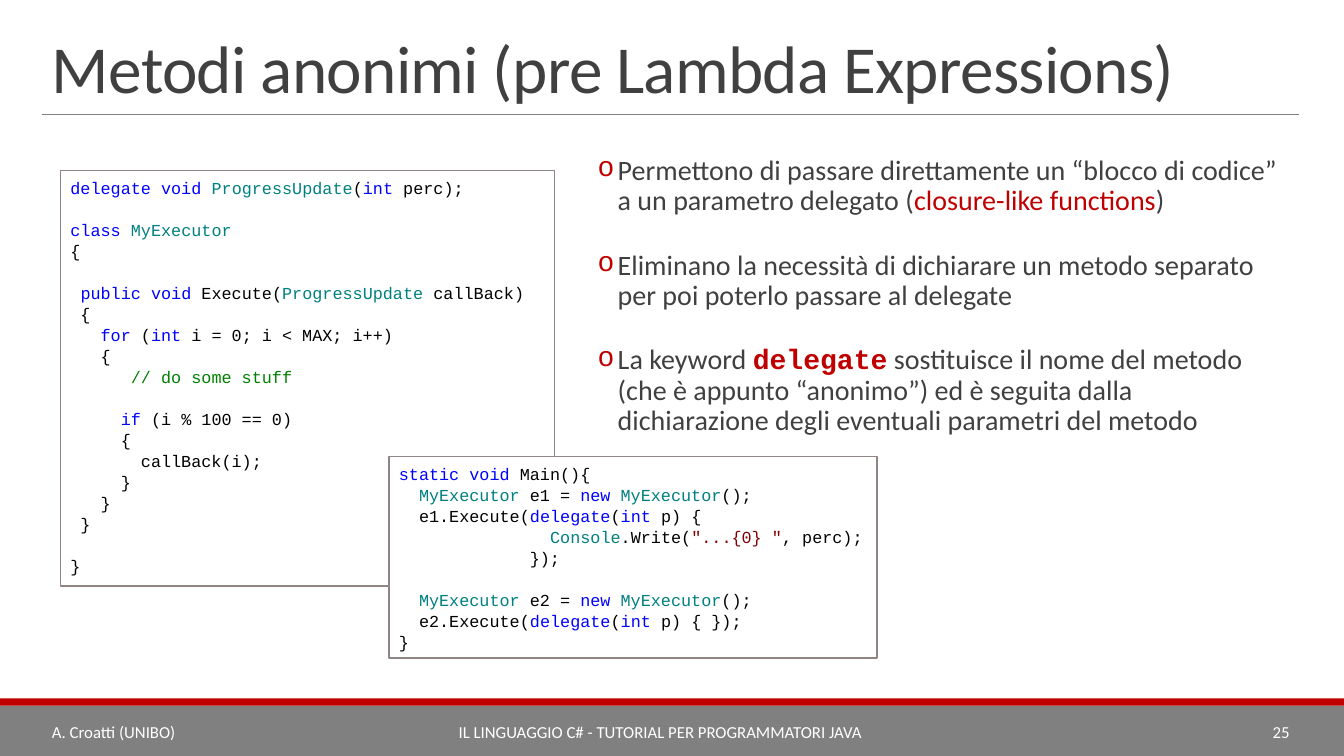
from lxml.etree import SubElement
from pptx import Presentation
from pptx.dml.color import RGBColor
from pptx.enum.shapes import MSO_CONNECTOR, MSO_SHAPE
from pptx.enum.text import MSO_ANCHOR, PP_ALIGN
from pptx.oxml.ns import qn
from pptx.util import Inches, Pt

COLORS = {
    "white": "FFFFFF", "black": "000000", "text": "404040", "gray": "808080",
    "accent": "C00000", "border": "918485", "keyword": "0000FF",
    "type": "008080", "comment": "008000", "string": "800000",
}
TOKENS = {
    "keyword": ["delegate", "void", "int", "class", "public", "for", "if", "static", "new"],
    "type": ["ProgressUpdate", "MyExecutor", "Console"],
    "comment": ["// do some stuff"],
    "string": ['"...{0} "'],
}
TOKEN_COLORS = {token: kind for kind, tokens in TOKENS.items() for token in tokens}

EXECUTOR_CODE = """delegate |void |ProgressUpdate|(|int| perc);

class |MyExecutor
{

 |public |void| Execute(|ProgressUpdate| callBack)
 {
   |for| (|int| i = 0; i < MAX; i++)
   {
      |// do some stuff

     |if| (i % 100 == 0)
     {
       callBack(i);
     }
   }
 }

}"""
MAIN_CODE = """static |void| Main(){
  |MyExecutor| e1 = |new |MyExecutor|();
  e1.Execute(|delegate|(|int| p) {
               |Console|.Write(|"...{0} "|, perc);
             });

  |MyExecutor| e2 = |new |MyExecutor|();
  e2.Execute(|delegate|(|int| p) { });
}"""

presentation = Presentation()
presentation.slide_width = Inches(13.33)
presentation.slide_height = Inches(7.5)
slide = presentation.slides.add_slide(presentation.slide_layouts[6])
column = presentation.slide_width / 32
row = presentation.slide_height / 18


def add_box(left, top, width, height, fill=None):
    place = [int(left * column), int(top * row), int(width * column), int(height * row)]
    if fill:
        shape = slide.shapes.add_shape(MSO_SHAPE.RECTANGLE, *place)
        shape.shadow.inherit = False
        shape.fill.solid()
        shape.fill.fore_color.rgb = RGBColor.from_string(COLORS[fill])
        shape.line.fill.background()
    else:
        shape = slide.shapes.add_textbox(*place)
    shape.text_frame.word_wrap = True
    return shape


def style_run(run, size, color, font="Calibri"):
    run.font.size = Pt(size)
    run.font.name = font
    run.font.color.rgb = RGBColor.from_string(COLORS[color])


add_box(0, 16.8, 32, 1.2, "gray")
add_box(0, 16.63, 32, 0.17, "accent")
rule = slide.shapes.add_connector(
    MSO_CONNECTOR.STRAIGHT, int(column), int(2.73 * row), int(30.94 * column), int(2.73 * row))
rule.line.color.rgb = RGBColor.from_string(COLORS["gray"])
rule.line.width = Pt(0.5)
SubElement(rule.element.spPr, qn("a:effectLst"))

title = add_box(1, 0.74, 29.94, 1.94)
title.text_frame.vertical_anchor = MSO_ANCHOR.BOTTOM
paragraph = title.text_frame.paragraphs[0]
paragraph.text = "Metodi anonimi (pre Lambda Expressions)"
paragraph.line_spacing = 0.85
style_run(paragraph.runs[0], 48, "text")
paragraph.runs[0].font._element.set("spc", "-50")

points = [
    [("Permettono di passare direttamente un “blocco di codice” a un parametro delegato (", "text"),
     ("closure-like functions", "accent"), (")", "text")],
    [("Eliminano la necessità di dichiarare un metodo separato per poi poterlo passare al delegate", "text")],
    [("La keyword ", "text"), ("delegate", "accent"),
     (" sostituisce il nome del metodo (che è appunto “anonimo”) ed è seguita dalla "
      "dichiarazione degli eventuali parametri del metodo", "text")],
]
body = add_box(13.7, 3.6, 16.78, 7.73).text_frame
body.margin_left = body.margin_right = 0
for index, parts in enumerate(points):
    paragraph = body.add_paragraph() if index else body.paragraphs[0]
    properties = paragraph._p.get_or_add_pPr()
    properties.set("marL", str(Inches(0.42)))
    properties.set("indent", str(-Inches(0.2)))
    bullet_color = SubElement(properties, qn("a:buClr"))
    SubElement(bullet_color, qn("a:srgbClr"), val=COLORS["accent"])
    SubElement(properties, qn("a:buFont"), typeface="Courier New")
    SubElement(properties, qn("a:buChar"), char="o")
    paragraph.line_spacing = 0.9
    if index:
        paragraph.space_before = Pt(24.5)
    for text, color in parts:
        run = paragraph.add_run()
        run.text = text
        keyword = text == "delegate"
        style_run(run, 20, color, "Courier New" if keyword else "Calibri")
        run.font.bold = keyword

listings = [
    (EXECUTOR_CODE, (1.44, 4.06, 11.76, 9.89)),
    (MAIN_CODE, (9.26, 10.87, 11.62, 4.8)),
]
for code, place in listings:
    listing = add_box(*place, "white")
    listing.line.color.rgb = RGBColor.from_string(COLORS["border"])
    listing.line.width = Pt(1.25)
    frame = listing.text_frame
    frame.vertical_anchor = MSO_ANCHOR.TOP
    frame.margin_top = Inches(0.06)
    paragraph = None
    gap = 0
    for line in code.split("\n"):
        if not line:
            gap = 15
            continue
        paragraph = frame.add_paragraph() if paragraph else frame.paragraphs[0]
        paragraph.alignment = PP_ALIGN.LEFT
        paragraph.line_spacing = Pt(15)
        paragraph.space_before = Pt(gap)
        gap = 0
        for piece in line.split("|"):
            run = paragraph.add_run()
            run.text = piece
            color = TOKEN_COLORS.get(piece) or TOKEN_COLORS.get(piece.strip(), "black")
            style_run(run, 12, color, "Courier New")

footers = [
    ("A. Croatti (UNIBO)", 1, 4.44, PP_ALIGN.LEFT),
    ("IL LINGUAGGIO C# - TUTORIAL PER PROGRAMMATORI JAVA", 5.45, 20.55, PP_ALIGN.CENTER),
    ("25", 26, 4.94, PP_ALIGN.RIGHT),
]
for text, left, width, alignment in footers:
    footer = add_box(left, 16.94, width, 0.96)
    footer.text_frame.vertical_anchor = MSO_ANCHOR.MIDDLE
    paragraph = footer.text_frame.paragraphs[0]
    paragraph.text = text
    paragraph.alignment = alignment
    style_run(paragraph.runs[0], 12, "white")

presentation.save("out.pptx")
